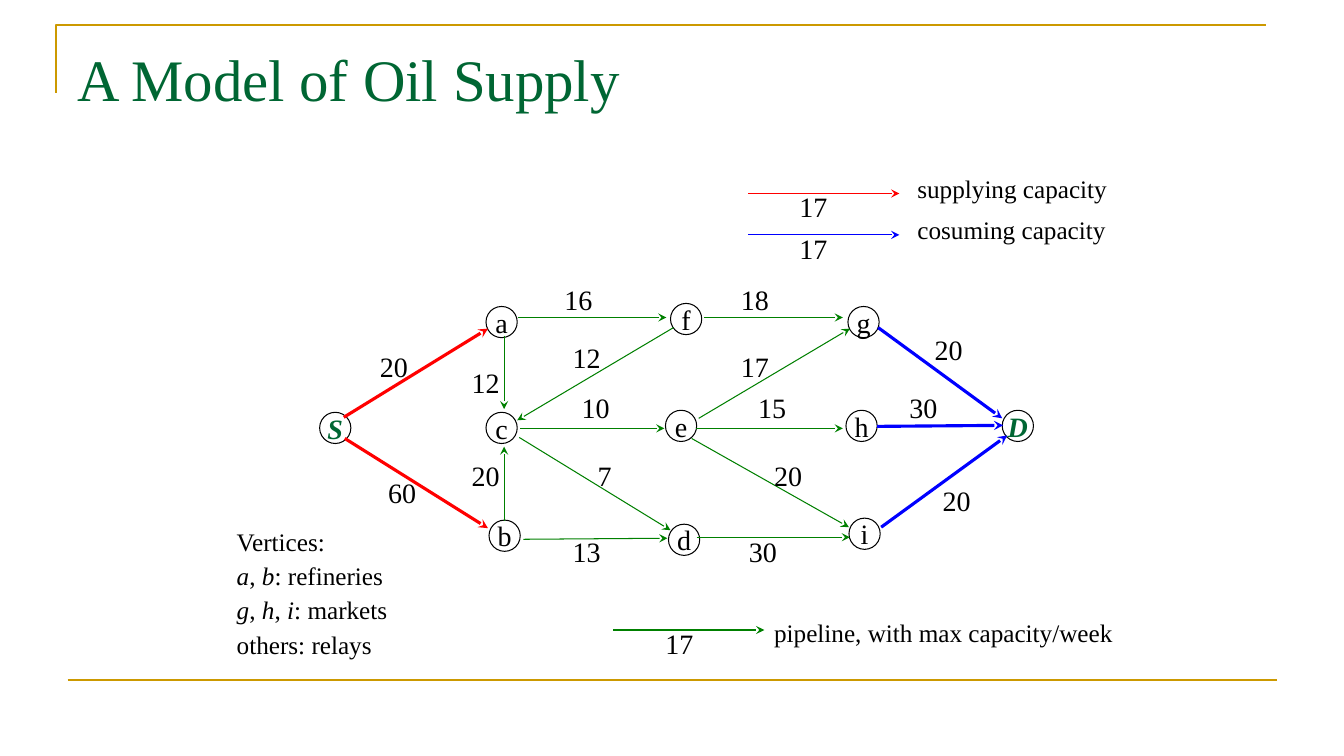
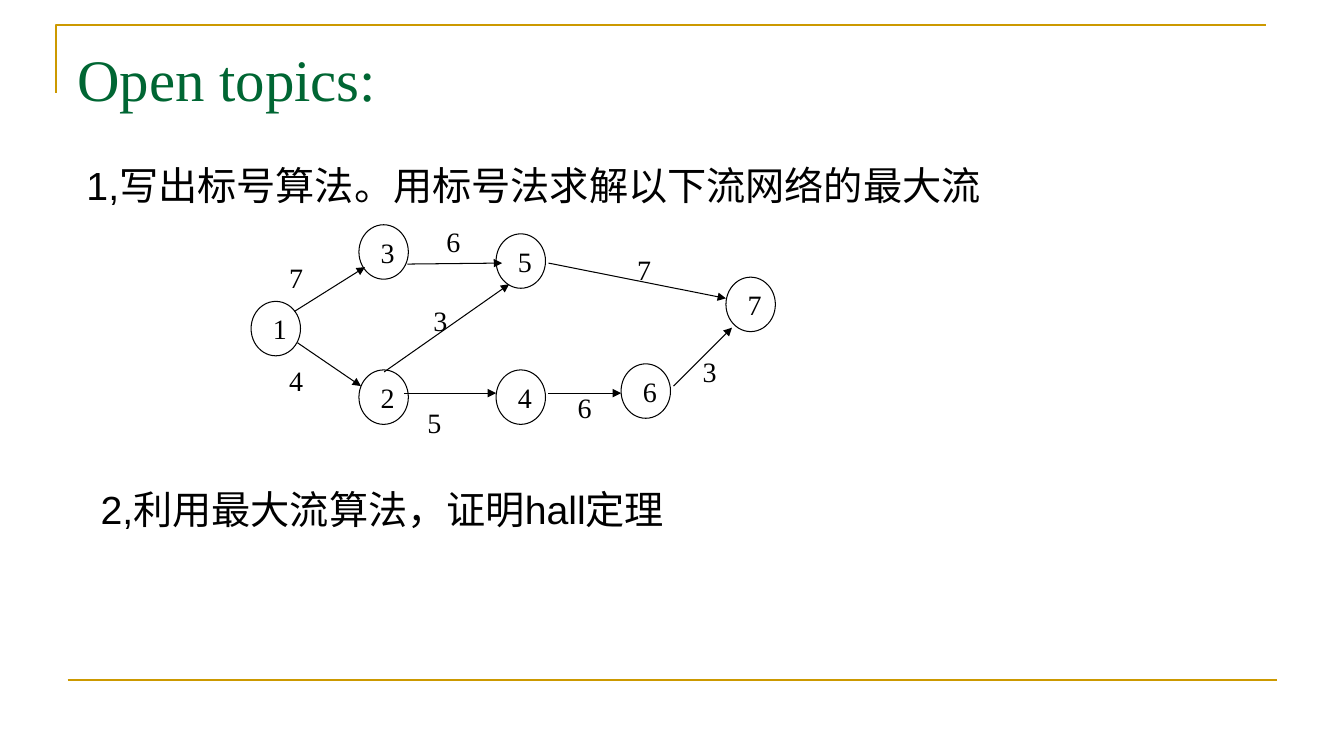
from pptx import Presentation
from pptx.dml.color import RGBColor
from pptx.enum.shapes import MSO_CONNECTOR as CONN, MSO_SHAPE as SHAPE
from pptx.enum.text import MSO_ANCHOR as ANCHOR, PP_ALIGN as ALIGN
from pptx.oxml.ns import qn
from pptx.util import Inches, Pt
from lxml.etree import SubElement

COLORS = {
    "gold": "CC9900", "title": "006633", "black": "000000",
    "pipe": "008000", "supply": "FF0000", "demand": "0000FF",
}
SERIF, SANS = "Times New Roman", "Arial"

prs = Presentation()
prs.slide_width, prs.slide_height = Inches(13.33), Inches(7.5)


def add_text(slide, box, lines, size=20, font=SERIF, color="black", top=0.05):
    """Each line is a list of (text, italic) runs; a plain string is one line."""
    tf = slide.shapes.add_textbox(*map(Inches, box)).text_frame
    tf.word_wrap = True
    tf.margin_top = Inches(top)
    lines = [[(lines, False)]] if isinstance(lines, str) else lines
    for i, runs in enumerate(lines):
        p = tf.add_paragraph() if i else tf.paragraphs[0]
        if i:
            p.space_before = Pt(2.9)
        for text, italic in runs:
            r = p.add_run()
            r.text = text
            r.font.name, r.font.size, r.font.italic = font, Pt(size), italic
            r.font.color.rgb = RGBColor.from_string(COLORS[color])


def add_line(slide, ends, color, width=0.75, head=None):
    line = slide.shapes.add_connector(CONN.STRAIGHT, *map(Inches, ends))
    line.line.color.rgb = RGBColor.from_string(COLORS[color])
    line.line.width = Pt(width)
    if head:
        SubElement(line.line._get_or_add_ln(), qn("a:tailEnd"), type=head)
    SubElement(line._element.spPr, qn("a:effectLst"))


# Frame and title of every slide
slides = []
for title in ["A Model of Oil Supply", "Open topics:"]:
    slide = prs.slides.add_slide(prs.slide_layouts[6])
    corner = slide.shapes.build_freeform(Inches(0.56), Inches(0.92), scale=1.0)
    corner.add_line_segments(
        [(Inches(0.56), Inches(0.25)), (Inches(12.56), Inches(0.25))], close=False)
    sp = corner.convert_to_shape()
    sp.shadow.inherit = False
    sp.fill.background()
    sp.line.color.rgb = RGBColor.from_string(COLORS["gold"])
    sp.line.width = Pt(1.5)
    add_line(slide, (0.67, 6.75, 12.67, 6.75), "gold", 1.5)
    add_text(slide, (0.67, 0.3, 12, 1.25), title, 42, color="title", top=0.12)
    slides.append(slide)
oil, topics = slides

# Nodes of both networks: label, left, top
oil_nodes = [
    ("a", 4.82, 3.04), ("c", 4.82, 4.09), ("b", 4.85, 5.16),
    ("f", 6.65, 3.01), ("e", 6.6, 4.07), ("d", 6.63, 5.2),
    ("g", 8.41, 3.04), ("h", 8.39, 4.07), ("i", 8.42, 5.14),
    ("S", 3.17, 4.09), ("D", 9.94, 4.07),
]
topic_nodes = [
    ("1", 2.49, 2.99), ("2", 3.56, 3.67), ("3", 3.56, 2.23), ("4", 4.92, 3.67),
    ("5", 4.92, 2.32), ("6", 6.16, 3.61), ("7", 7.2, 2.75),
]
for slide, nodes, width, height, inset in [
        (oil, oil_nodes, 0.31, 0.31, 0), (topics, topic_nodes, 0.49, 0.54, 0.08)]:
    for label, left, top in nodes:
        sp = slide.shapes.add_shape(
            SHAPE.OVAL, *map(Inches, (left, top, width, height)))
        sp.shadow.inherit = False
        sp.fill.background()
        sp.line.color.rgb = RGBColor.from_string(COLORS["black"])
        sp.line.width = Pt(0.75)
        tf = sp.text_frame
        tf.word_wrap = False
        tf.vertical_anchor = ANCHOR.MIDDLE
        tf.margin_left = Inches(inset)
        tf.margin_right = tf.margin_top = tf.margin_bottom = 0
        p = tf.paragraphs[0]
        p.alignment = ALIGN.CENTER
        r = p.add_run()
        r.text = label
        terminal = label in ("S", "D")
        r.font.name, r.font.size = SERIF, Pt(20)
        r.font.bold = r.font.italic = terminal
        r.font.color.rgb = RGBColor.from_string(
            COLORS["title" if terminal else "black"])

# Edges: ends, capacity, left and top of the capacity label
oil_edges = {
    ("pipe", 0.75): [
        ((5.14, 3.15, 6.61, 3.15), "16", 5.5, 2.75),
        ((5.16, 4.25, 6.59, 4.25), "10", 5.67, 3.83),
        ((6.68, 3.25, 5.13, 4.17), "12", 5.58, 3.33),
        ((5.15, 4.34, 6.65, 5.26), "7", 5.83, 4.5),
        ((5.19, 5.35, 6.62, 5.34), "13", 5.58, 5.25),
        ((6.9, 4.25, 8.36, 4.25), "15", 7.42, 3.83),
        ((6.98, 3.15, 8.36, 3.15), "18", 7.25, 2.75),
        ((6.93, 4.15, 8.43, 3.26), "17", 7.25, 3.42),
        ((6.86, 4.35, 8.42, 5.23), "20", 7.58, 4.5),
        ((6.91, 5.33, 8.43, 5.33), "30", 7.33, 5.25),
        ((5, 5.17, 5, 4.43), "20", 4.58, 4.5),
        ((5, 3.33, 5, 4.06), "12", 4.58, 3.58),
        ((6.08, 6.25, 7.58, 6.25), "17", 6.5, 6.17),
    ],
    ("supply", 2.25): [
        ((3.41, 4.14, 4.84, 3.26), "20", 3.67, 3.42),
        ((3.42, 4.35, 4.84, 5.24), "60", 3.75, 4.67),
    ],
    ("demand", 2.25): [
        ((8.71, 3.25, 9.94, 4.15), "20", 9.17, 3.25),
        ((8.7, 4.23, 9.95, 4.22), "30", 8.92, 3.83),
        ((8.74, 5.23, 9.99, 4.32), "20", 9.25, 4.75),
    ],
    ("supply", 0.75): [((7.42, 1.92, 8.92, 1.92), "17", 7.83, 1.83)],
    ("demand", 0.75): [((7.42, 2.33, 8.92, 2.33), "17", 7.83, 2.25)],
}
topic_edges = {
    ("black", 0.75): [
        ((2.92, 3.09, 3.62, 2.65), "7", 2.77, 2.54),
        ((2.95, 3.4, 3.58, 3.83), "4", 2.77, 3.56),
        ((3.81, 3.69, 5.05, 2.82), "3", 4.2, 2.96),
        ((4.04, 2.62, 4.98, 2.61), "6", 4.33, 2.18),
        ((4.01, 3.9, 4.92, 3.9), "5", 4.14, 3.97),
        ((5.44, 3.9, 6.16, 3.9), "6", 5.63, 3.83),
        ((5.44, 2.61, 7.2, 2.96), "7", 6.22, 2.46),
        ((6.68, 3.83, 7.26, 3.25), "3", 6.87, 3.47),
    ],
}
for slide, edges, head in [
        (oil, oil_edges, "stealth"), (topics, topic_edges, "triangle")]:
    for (color, width), group in edges.items():
        for ends, capacity, left, top in group:
            add_line(slide, ends, color, width, head)
            add_text(slide, (left, top, 0.75, 0.43), capacity)

# Legends of the oil network
add_text(oil, (9, 1.67, 2.25, 0.4), "supplying capacity", 18)
add_text(oil, (9, 2.08, 2.25, 0.4), "cosuming capacity", 18)
add_text(oil, (7.58, 6.08, 3.83, 0.4), "pipeline, with max capacity/week", 18)
add_text(oil, (2.25, 5.17, 2.17, 1.39), [
    [("Vertices:", False)],
    [("a", True), (", ", False), ("b", True), (": refineries", False)],
    [("g", True), (", ", False), ("h", True), (", ", False), ("i", True),
     (": markets", False)],
    [("others: relays", False)],
], 18)

# Open questions
add_text(topics, (0.76, 1.55, 9.17, 0.57),
         "1,写出标号算法。用标号法求解以下流网络的最大流", 28, SANS)
add_text(topics, (0.9, 4.77, 5.86, 0.57),
         "2,利用最大流算法，证明hall定理", 28, SANS)

prs.save("out.pptx")
